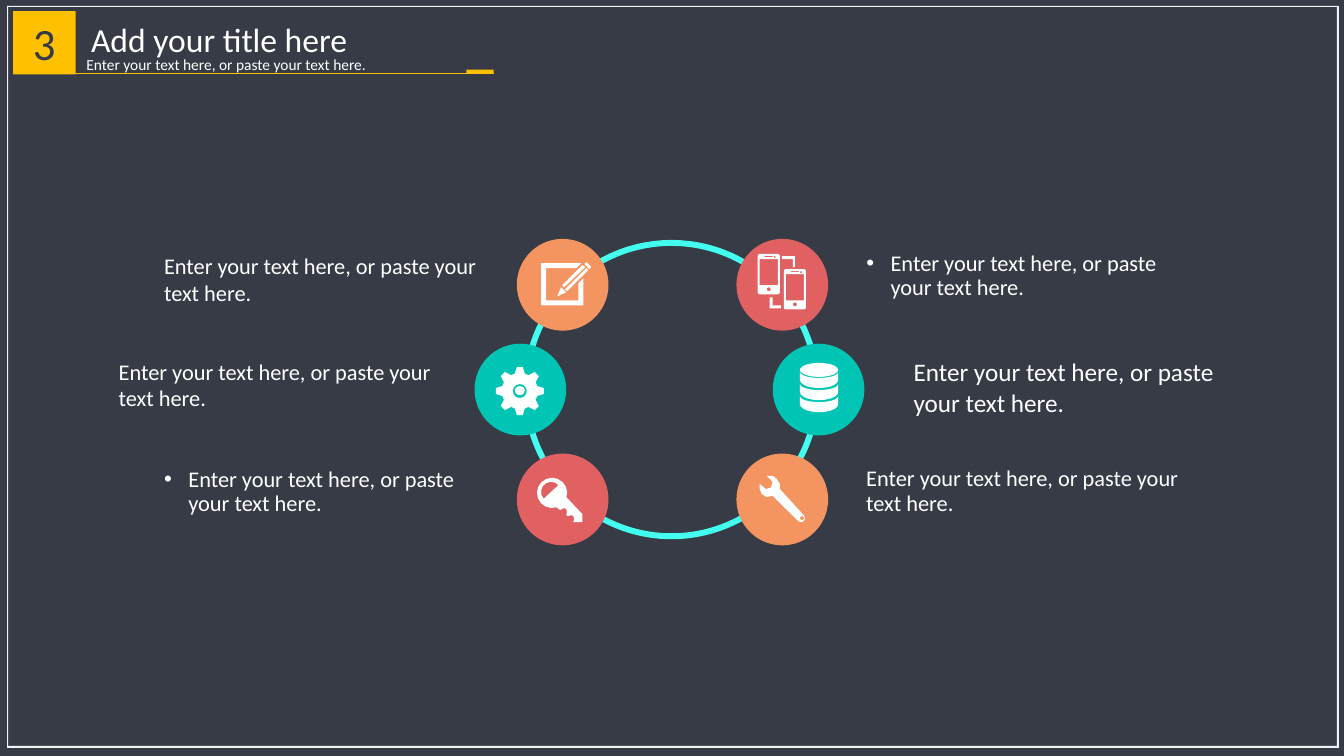
from dataclasses import dataclass
from math import cos, radians, sin

from lxml.etree import SubElement
from pptx import Presentation
from pptx.dml.color import RGBColor
from pptx.enum.shapes import MSO_CONNECTOR, MSO_SHAPE as SHAPE
from pptx.enum.text import MSO_ANCHOR as ANCHOR, MSO_AUTO_SIZE as AUTO, PP_ALIGN as ALIGN
from pptx.oxml.ns import qn
from pptx.util import Inches, Pt

Points = list[tuple[float, float]]

DARK, WHITE, FRAME, ICON = "363B45", "FFFFFF", "F3F3F5", "FEFFFF"
YELLOW, CYAN = "FFC000", "43FFEF"
ORANGE, TEAL, RED = "F49461", "00C5B4", "E16162"
ENTRY = "Enter your text here, or paste your text here."
NODE_SIZE = 0.91


@dataclass
class Node:
    left: float
    top: float
    color: str


@dataclass
class Caption:
    left: float
    top: float
    width: float
    height: float = 0.64
    size: int = 16
    spacing: float = 1.0
    bullet: bool = False


NODES = [
    Node(5.13, 2.37, ORANGE), Node(4.71, 3.41, TEAL), Node(5.13, 4.5, RED),
    Node(7.31, 2.37, RED), Node(7.67, 3.41, TEAL), Node(7.31, 4.5, ORANGE),
]
CAPTIONS = [
    Caption(1.53, 2.45, 3.32),
    Caption(1.08, 3.5, 3.35),
    Caption(1.53, 4.59, 3.32, spacing=0.9, bullet=True),
    Caption(8.5, 2.45, 3.34, spacing=0.9, bullet=True),
    Caption(8.97, 3.49, 3.67, height=0.7, size=18),
    Caption(8.5, 4.59, 3.34, spacing=0.9),
]


def rgb(color: str) -> RGBColor:
    return RGBColor.from_string(color)


def place(sp, left: float, top: float, width: float, height: float) -> None:
    sp.left, sp.top = Inches(left), Inches(top)
    sp.width, sp.height = Inches(width), Inches(height)


def paint(sp, color: str) -> None:
    sp.shadow.inherit = False
    sp.fill.solid()
    sp.fill.fore_color.rgb = rgb(color)
    sp.line.fill.background()


def add_solid(s, kind: SHAPE, left: float, top: float, width: float, height: float, color: str):
    sp = s.shapes.add_shape(kind, Inches(left), Inches(top), Inches(width), Inches(height))
    paint(sp, color)
    return sp


def add_outline(s, *contours: Points, color: str = ICON) -> None:
    """Fill closed contours as one shape; inner contours become holes."""
    scaled = [[(Inches(x), Inches(y)) for x, y in c] for c in contours]
    builder = s.shapes.build_freeform(*scaled[0][0])
    for i, points in enumerate(scaled):
        if i:
            builder.move_to(*points[0])
        builder.add_line_segments(points[1:], close=True)
    paint(builder.convert_to_shape(), color)


def box(left: float, top: float, width: float, height: float) -> Points:
    right, bottom = left + width, top + height
    return [(left, top), (right, top), (right, bottom), (left, bottom)]


def arc(cx: float, cy: float, rx: float, ry: float, start: float = 0, end: float = 360) -> Points:
    """Points on an ellipse, with clockwise angles in degrees; larger arcs get more."""
    steps = max(2, round(abs(end - start) / 360 * (8 + 60 * max(rx, ry))))
    angles = [radians(start + (end - start) * i / steps) for i in range(steps + 1)]
    return [(cx + rx * cos(a), cy + ry * sin(a)) for a in angles]


def write(sp, text: str, size: int, color: str = WHITE, spacing: float = 1.0,
          align: ALIGN = ALIGN.LEFT, anchor: ANCHOR = ANCHOR.TOP) -> None:
    tf = sp.text_frame
    tf.text = text
    tf.word_wrap, tf.auto_size, tf.vertical_anchor = True, AUTO.NONE, anchor
    p = tf.paragraphs[0]
    p.alignment, p.line_spacing, p.space_before = align, spacing, Pt(0)
    font = p.runs[0].font
    font.name, font.size, font.color.rgb = "Calibri", Pt(size), rgb(color)


def add_bullet(p, indent: float) -> None:
    pPr = p._p.get_or_add_pPr()
    pPr.set("marL", str(Inches(indent)))
    pPr.set("indent", str(-Inches(indent)))
    SubElement(pPr, qn("a:buChar")).set("char", "•")


def add_text_box(s, left: float, top: float, width: float, height: float):
    return s.shapes.add_textbox(Inches(left), Inches(top), Inches(width), Inches(height))


def draw_header(s) -> None:
    number = add_solid(s, SHAPE.RECTANGLE, 0.13, 0.11, 0.62, 0.63, YELLOW)
    write(number, "3", 32, DARK, align=ALIGN.CENTER, anchor=ANCHOR.MIDDLE)
    place(s.shapes.title, 0.68, 0.09, 2.99, 0.55)
    write(s.shapes.title, "Add your title here", 24, spacing=1.1,
          align=ALIGN.CENTER, anchor=ANCHOR.MIDDLE)
    write(add_text_box(s, 0.76, 0.5, 3.86, 0.59), ENTRY, 11)
    rule = s.shapes.add_connector(MSO_CONNECTOR.STRAIGHT, Inches(4.9), Inches(0.73),
                                  Inches(0.68), Inches(0.73))
    rule.line.color.rgb, rule.line.width = rgb(YELLOW), Pt(0.5)
    SubElement(rule._element.spPr, qn("a:effectLst"))
    add_solid(s, SHAPE.RECTANGLE, 4.63, 0.69, 0.27, 0.04, YELLOW)


def draw_ring(s) -> None:
    ring = add_solid(s, SHAPE.OVAL, 5.22, 2.41, 2.89, 2.91, CYAN)
    ring.fill.background()
    ring.line.color.rgb, ring.line.width = rgb(CYAN), Pt(4.25)
    for n in NODES:
        add_solid(s, SHAPE.OVAL, n.left, n.top, NODE_SIZE, NODE_SIZE, n.color)


def draw_pencil(s) -> None:
    add_outline(s, [(5.62, 2.9), (5.57, 2.85), (5.53, 2.94)])
    add_outline(s, [(5.78, 2.63), (5.58, 2.83), (5.6, 2.85), (5.81, 2.65)])
    add_outline(s, [(5.61, 2.87), (5.63, 2.89), (5.84, 2.68), (5.82, 2.66)])
    add_outline(s, [(5.8, 2.62), (5.82, 2.6), (5.84, 2.62), (5.87, 2.65), (5.85, 2.67)])
    add_outline(s, [(5.74, 2.98), (5.42, 2.98), (5.42, 2.66), (5.72, 2.66), (5.77, 2.61),
                    (5.37, 2.61), (5.37, 3.03), (5.79, 3.03), (5.79, 2.76), (5.74, 2.81)])


def draw_gear(s) -> None:
    cx, cy = 5.16, 3.88
    tooth = [(-16, 0.18), (-7, 0.24), (7, 0.24), (16, 0.18)]
    rim = [(cx + r * cos(radians(turn + a)), cy + r * sin(radians(turn + a)))
           for turn in range(0, 360, 45) for a, r in tooth]
    add_outline(s, rim, arc(cx, cy, 0.07, 0.07))
    add_solid(s, SHAPE.OVAL, 5.11, 3.83, 0.1, 0.09, ICON)


def draw_database(s) -> None:
    cx, rx = 8.13, 0.19
    bands = [arc(cx, y, rx, 0.06, 180, 0) + arc(cx, y + 0.08, rx, 0.08, 0, 180)
             for y in (3.69, 3.81, 3.93)]
    add_outline(s, arc(cx, 3.67, rx, 0.07), *bands)


def draw_key(s) -> None:
    shaft = [(5.56, 5.06), (5.6, 5.04), (5.62, 5.05), (5.63, 5.08), (5.62, 5.11), (5.64, 5.12),
             (5.67, 5.11), (5.69, 5.12), (5.7, 5.15), (5.69, 5.18), (5.78, 5.18), (5.78, 5.1)]
    add_outline(s, arc(5.48, 4.89, 0.15, 0.15, 17, -287) + shaft,
                arc(5.47, 4.88, 0.1, 0.1, 137, 317))


def draw_wrench(s) -> None:
    head = [(7.74, 4.85), (7.74, 4.8), (7.71, 4.75), (7.67, 4.72), (7.61, 4.72), (7.67, 4.78),
            (7.65, 4.84), (7.6, 4.85), (7.54, 4.8), (7.54, 4.85), (7.56, 4.9), (7.61, 4.93),
            (7.67, 4.92)]
    add_outline(s, head + arc(7.95, 5.14, 0.04, 0.04, 135, -45), arc(7.96, 5.14, 0.02, 0.02))


def draw_phone(s, left: float, top: float) -> None:
    r, w, h = 0.02, 0.22, 0.4
    corners = [(w - r, h - r, 0), (r, h - r, 90), (r, r, 180), (w - r, r, 270)]
    body = [pt for x, y, a in corners for pt in arc(left + x, top + y, r, r, a, a + 90)]
    add_outline(s, body, box(left + 0.02, top + 0.05, 0.18, 0.26),
                box(left + 0.07, top + 0.02, 0.08, 0.01),
                arc(left + 0.17, top + 0.03, 0.01, 0.01),
                arc(left + 0.11, top + 0.35, 0.02, 0.02))


def draw_phones(s) -> None:
    draw_phone(s, 7.52, 2.52)
    draw_phone(s, 7.78, 2.67)
    add_outline(s, [(7.87, 2.65), (7.89, 2.65), (7.89, 2.54), (7.76, 2.54), (7.76, 2.57),
                    (7.87, 2.57)])
    add_outline(s, [(7.67, 2.95), (7.64, 2.95), (7.64, 3.06), (7.75, 3.06), (7.75, 3.03),
                    (7.67, 3.03)])


def draw_captions(s) -> None:
    bodies = iter([sp for sp in s.placeholders if sp.placeholder_format.idx > 0])
    for c in CAPTIONS:
        area = (c.left, c.top, c.width, c.height)
        sp = next(bodies) if c.bullet else add_text_box(s, *area)
        place(sp, *area)
        write(sp, ENTRY, c.size, spacing=c.spacing)
        if c.bullet:
            add_bullet(sp.text_frame.paragraphs[0], 0.24)


prs = Presentation()
prs.slide_width, prs.slide_height = Inches(13.34), Inches(7.5)
s = prs.slides.add_slide(prs.slide_layouts.get_by_name("Two Content"))
s.background.fill.solid()
s.background.fill.fore_color.rgb = rgb(DARK)
add_outline(s, box(0.07, 0.06, 13.22, 7.36), box(0.08, 0.07, 13.19, 7.33), color=FRAME)
draw_header(s)
draw_ring(s)
for draw_icon in (draw_pencil, draw_gear, draw_key, draw_phones, draw_database, draw_wrench):
    draw_icon(s)
draw_captions(s)
prs.save("out.pptx")
